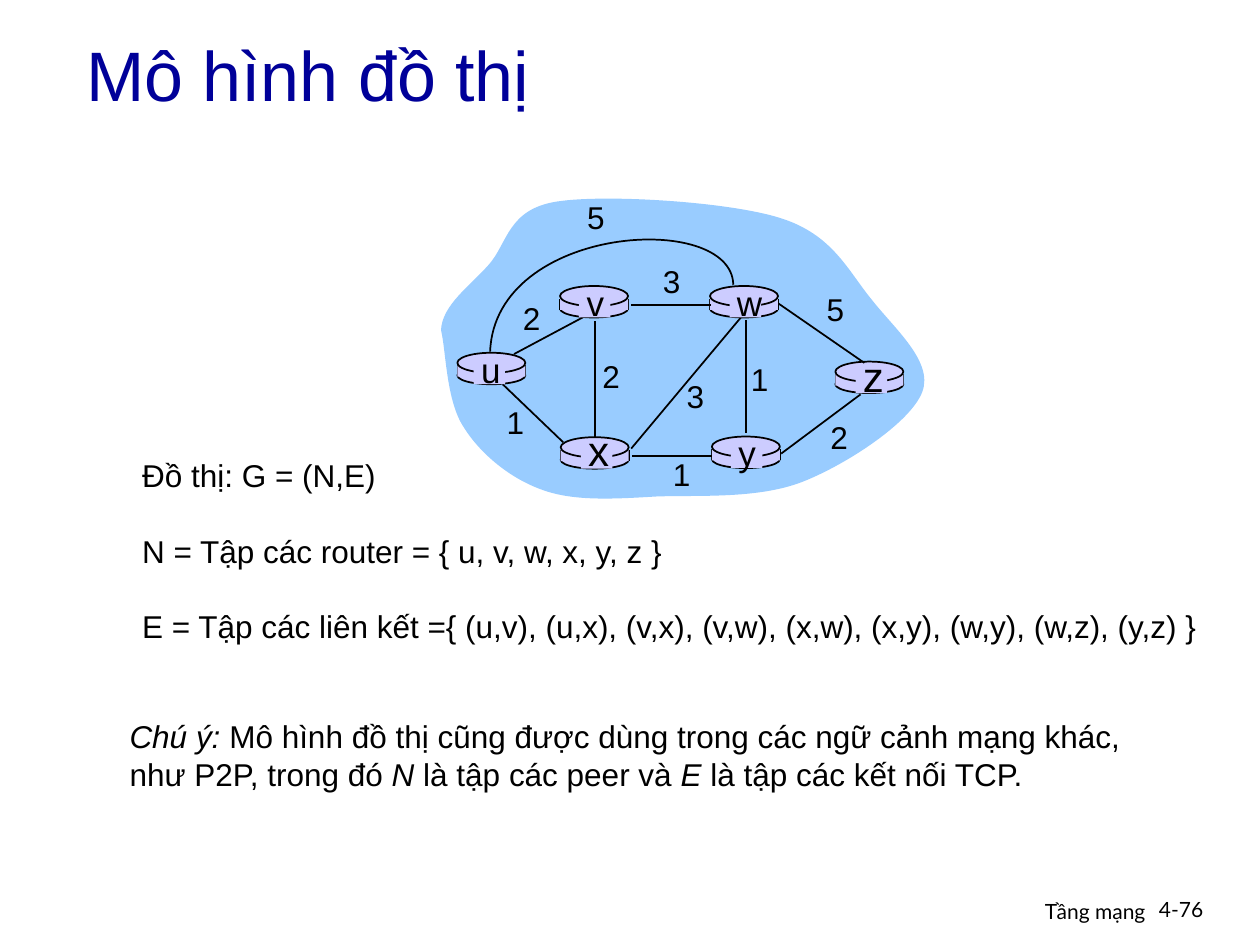
from lxml.etree import SubElement
from pptx import Presentation
from pptx.dml.color import RGBColor
from pptx.enum.shapes import MSO_CONNECTOR, MSO_SHAPE
from pptx.enum.text import MSO_ANCHOR, PP_ALIGN
from pptx.oxml.ns import qn
from pptx.util import Inches, Pt

COLS, ROWS = 100, 75
WIDTH, HEIGHT = Inches(10), Inches(7.5)
BLACK = RGBColor(0x00, 0x00, 0x00)
NAVY = RGBColor(0x00, 0x00, 0x99)
SKY = RGBColor(0x99, 0xCC, 0xFF)
LILAC = RGBColor(0xCC, 0xCC, 0xFF)

CLOUD = [
    (0, 11.2),
    (0.1, 9.2), (2.3, 7.7), (3.8, 6),
    (5.3, 4.3), (5.3, 1.6), (9.2, 1),
    (13, 0.4), (22.8, 1), (26.9, 2.3),
    (31.1, 3.6), (32.3, 6.5), (34.2, 8.8),
    (36, 11.1), (39.1, 13.7), (38.2, 16.1),
    (37.3, 18.5), (32.3, 21.8), (28.8, 23.2),
    (25.3, 24.6), (20.7, 24.3), (17.2, 24.4),
    (13.8, 24.6), (10.6, 24.8), (8.1, 23.9),
    (5.5, 23), (3.1, 21), (1.8, 18.9),
    (0.4, 16.8), (0.4, 12.8), (0, 11.2),
]
ARC = [(23.2, 7.6), (23.1, 1.7), (4.3, 2.8), (3.9, 12.9)]
NODES = [
    ("u", 1.3, 13, 2.6, 1.3, 20), ("x", 9.5, 19.7, 2.9, 1, 24),
    ("v", 9.45, 7.7, 2.8, 1.3, 20), ("w", 21.35, 7.7, 2.85, 1.3, 20),
    ("y", 21.5, 19.65, 2.8, 1.25, 20), ("z", 31.3, 13.7, 2.9, 1.1, 24),
]
LINKS = [
    (5.8, 13.1, 11.8, 9.9), (24.2, 10.4, 24.2, 19.4),
    (12.2, 10.5, 12.2, 19.8), (15.1, 20.6, 23.8, 10.2),
    (27, 21, 33.3, 16.3), (21.5, 21.2, 15.2, 21.2),
    (9.7, 20.1, 4.9, 15.5), (21.4, 9.2, 15.1, 9.2),
    (33.6, 13.8, 26.8, 9.1),
]
COSTS = [
    ("2", 7.2, 10.2), ("2", 13.5, 14.8), ("1", 5.9, 18.5),
    ("3", 20.2, 16.4), ("1", 19.1, 22.6), ("1", 25.3, 15.1),
    ("2", 31.6, 19.7), ("5", 31.3, 9.5), ("3", 18.3, 7.3),
    ("5", 12.3, 2.2),
]
FACTS = [
    "Đồ thị: G = (N,E)",
    "N = Tập các router = { u, v, w, x, y, z }",
    "E = Tập các liên kết ={ (u,v), (u,x), (v,x), (v,w), (x,w), "
    "(x,y), (w,y), (w,z), (y,z) }",
]
NOTE = [
    "*Chú ý:* Mô hình đồ thị cũng được dùng trong các ngữ cảnh mạng khác,",
    "như P2P, trong đó *N* là tập các peer và *E* là tập các kết nối TCP.",
]


def col(n):
    return round(WIDTH * n / COLS)


def row(n):
    return round(HEIGHT * n / ROWS)


def place(box):
    x, y, w, h = box
    return col(x), row(y), col(w), row(h)


def text(slide, box, lines, size=18, font="Arial", color=BLACK,
         align=PP_ALIGN.LEFT, anchor=MSO_ANCHOR.TOP, wrap=True,
         pitch=None, gap=0):
    frame = slide.shapes.add_textbox(*place(box)).text_frame
    frame.word_wrap = wrap
    frame.vertical_anchor = anchor
    for i, line in enumerate(lines):
        para = frame.add_paragraph() if i else frame.paragraphs[0]
        para.alignment = align
        if pitch:
            para.line_spacing = Pt(pitch)
        if i:
            para.space_before = Pt(gap)
        for j, part in enumerate(line.split("*")):
            if part:
                run = para.add_run()
                run.text = part
                run.font.size = Pt(size)
                run.font.name = font
                run.font.color.rgb = color
                run.font.italic = j % 2 == 1


def label(slide, x, y, word, size=18):
    tall = size / 6 + 1
    text(slide, (x - 1.7, y - tall / 2, 3.4, tall), [word], size=size,
         wrap=False, align=PP_ALIGN.CENTER, anchor=MSO_ANCHOR.MIDDLE)


def paint(shape, fill=None, line=None):
    shape.shadow.inherit = False
    for part, color in ((shape.fill, fill), (shape.line.fill, line)):
        if color is None:
            part.background()
        else:
            part.solid()
            part.fore_color.rgb = color
    if line is not None:
        shape.line.width = Pt(1)


def solid(slide, kind, box, line=None):
    paint(slide.shapes.add_shape(kind, *place(box)), LILAC, line)


def link(slide, ax, ay, bx, by):
    wire = slide.shapes.add_connector(
        MSO_CONNECTOR.STRAIGHT, col(ax), row(ay), col(bx), row(by))
    wire.line.color.rgb = BLACK
    wire.line.width = Pt(1)
    SubElement(wire._element.spPr, qn("a:effectLst"))


def curve(slide, left, top, knots, fill=None, line=None):
    spots = [(col(left + x), row(top + y)) for x, y in knots]
    form = slide.shapes.build_freeform(*spots[0])
    form.add_line_segments(spots[1:], close=fill is not None)
    shape = form.convert_to_shape()
    lines = list(shape._element.iter(qn("a:lnTo")))
    for i in range(0, len(knots) - 1, 3):
        first, *rest = lines[i:i + 3]
        first.tag = qn("a:cubicBezTo")
        for item in rest:
            first.append(item[0])
            item.getparent().remove(item)
    paint(shape, fill, line)


def router(slide, x, y, w=5.4):
    solid(slide, MSO_SHAPE.OVAL, (x, y + 1.1, w, 1.4), BLACK)
    for side in (x, x + w):
        link(slide, side, y + 1, side, y + 1.9)
    solid(slide, MSO_SHAPE.RECTANGLE, (x, y + 1, w, 0.9))
    solid(slide, MSO_SHAPE.OVAL, (x, y, w, 1.6), BLACK)


def graph(slide, left, top):
    def wire(ends):
        ax, ay, bx, by = ends
        link(slide, left + ax, top + ay, left + bx, top + by)

    curve(slide, left, top, CLOUD, fill=SKY)
    wire(LINKS[0])
    for _, x, y, *_ in NODES:
        router(slide, left + x, top + y)
    for ends in LINKS[1:]:
        wire(ends)
    curve(slide, left, top, ARC, line=BLACK)
    for name, x, y, mid, drop, size in NODES:
        x, y = left + x + mid, top + y
        solid(slide, MSO_SHAPE.RECTANGLE, (x - 1.3, y + 0.2, 2.5, 2.3))
        label(slide, x, y + drop, name, size)
    for cost, x, y in COSTS:
        label(slide, left + x, top + y, cost)


def footer(slide, left, top):
    text(slide, (left + 30.8, top, 7.4, 3), ["4-76"], size=12, font="Lato")
    text(slide, (left, top + 0.1, 31.7, 3.1), ["Tầng mạng"], size=12,
         font="Lato", align=PP_ALIGN.RIGHT)


def main():
    deck = Presentation()
    deck.slide_width, deck.slide_height = WIDTH, HEIGHT
    slide = deck.slides.add_slide(deck.slide_layouts[6])
    graph(slide, 35, 15)
    text(slide, (10.3, 35.7, 86.6, 16), FACTS, pitch=21.6, gap=21.6)
    text(slide, (5.85, 2.3, 85, 7.1), ["Mô hình đồ thị"], size=40,
         color=NAVY, anchor=MSO_ANCHOR.MIDDLE)
    text(slide, (9.3, 56.4, 87.7, 7), NOTE, pitch=21.6)
    footer(slide, 60.2, 70.7)
    deck.save("out.pptx")


if __name__ == "__main__":
    main()
